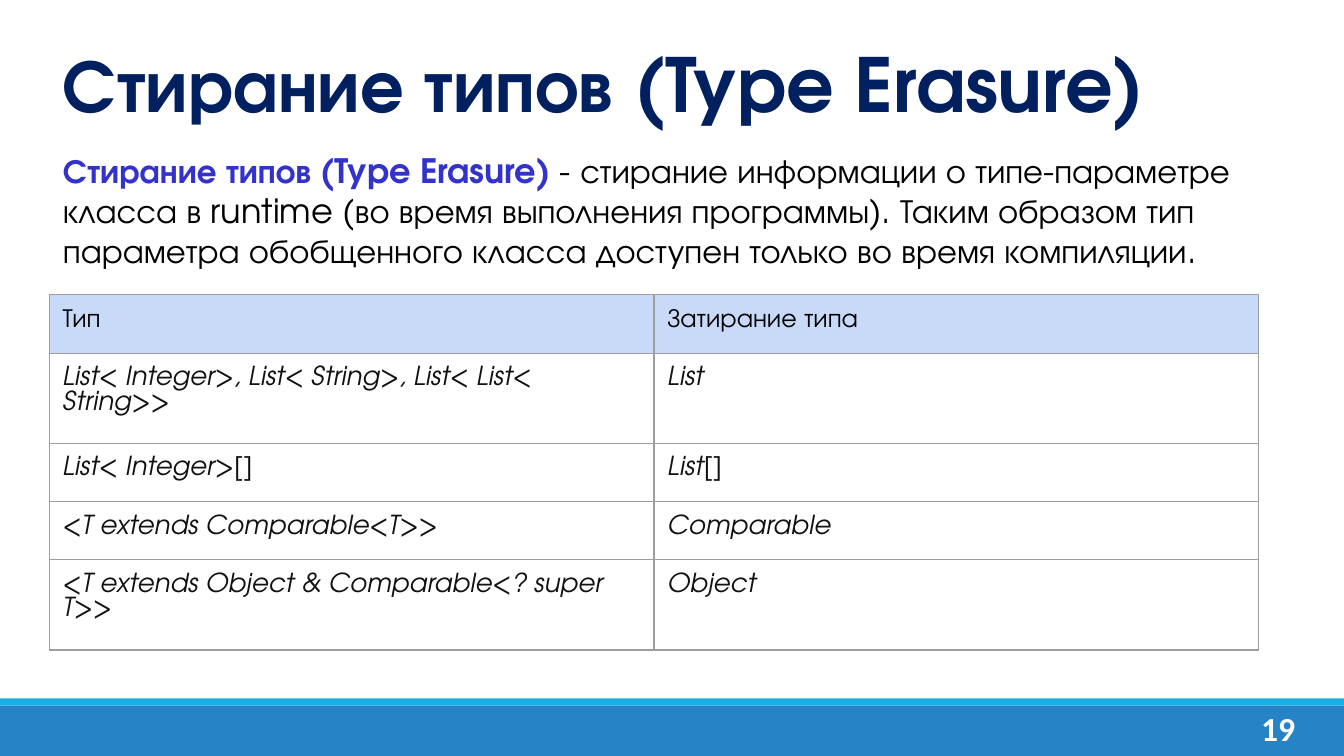
"""Build a slide that explains type erasure with a comparison table."""
import lxml.etree
import pptx
import pptx.dml.color
import pptx.enum.shapes
import pptx.enum.text
import pptx.oxml.ns
import pptx.util

COLORS = {
    "bar": "2683C6", "stripe": "1CADE4", "white": "FFFFFF", "title": "002060",
    "term": "3333CC", "text": "000000", "code": "111111", "header": "C9DAF8",
    "border": "9E9E9E",
}
FONT = "TeX Gyre Adventor"
WIDTH, HEIGHT = pptx.util.Inches(10), pptx.util.Inches(5.625)
TERM = "Стирание типов (Type Erasure)"
DEFINITION = (
    " - стирание информации о типе-параметре класса в runtime (во время выполнения "
    "программы). Таким образом тип параметра обобщенного класса доступен только "
    "во время компиляции."
)
HEADINGS = ("Тип", "Затирание типа")
ERASURES = [
    ("List< Integer>, List< String>, List< List< String>>", "List"),
    ("List< Integer>[]", "List[]"),
    ("<T extends Comparable<T>>", "Comparable"),
    ("<T extends Object & Comparable<? super T>>", "Object"),
]
ROW_SHARES = (0.43, 0.67, 0.43, 0.43, 0.67)


def place(left, top, width, height):
    """Turn percentages of the slide into a box in slide units."""
    return tuple(
        int(size * share / 100)
        for size, share in zip((WIDTH, HEIGHT) * 2, (left, top, width, height))
    )


def color(name):
    """Return a named colour."""
    return pptx.dml.color.RGBColor.from_string(COLORS[name])


def style(font, size, color_name, bold=False, name=FONT):
    """Set the face, size, weight and colour of a font."""
    font.name, font.size, font.bold = name, pptx.util.Pt(size), bold
    font.color.rgb = color(color_name)


def add_text_box(slide, box, inset=0.05):
    """Add a wrapping text box and return its frame."""
    frame = slide.shapes.add_textbox(*box).text_frame
    frame.word_wrap = True
    frame.margin_top = frame.margin_bottom = pptx.util.Inches(inset)
    return frame


def add_bar(slide, box, color_name):
    """Add a plain filled rectangle."""
    shape = slide.shapes.add_shape(pptx.enum.shapes.MSO_SHAPE.RECTANGLE, *box)
    shape.shadow.inherit = False
    shape.fill.solid()
    shape.fill.fore_color.rgb = color(color_name)
    shape.line.fill.background()


def add_footer(slide, box, number):
    """Add the bar, its top stripe and the slide number."""
    left, top, width, height = box
    stripe = height // 8
    add_bar(slide, (left, top + stripe, width, height - stripe), "bar")
    add_bar(slide, (left, top, width, stripe), "stripe")
    number_box = (
        left + int(width * 0.927), top + int(height * 0.05),
        int(width * 0.048), int(height * 0.7),
    )
    frame = add_text_box(slide, number_box)
    frame.word_wrap = False
    paragraph = frame.paragraphs[0]
    paragraph.text = str(number)
    paragraph.alignment = pptx.enum.text.PP_ALIGN.CENTER
    style(paragraph.font, 18, "white", True, "Calibri")


def add_title(slide, box):
    """Add the slide title, centred vertically in its box."""
    frame = add_text_box(slide, box)
    frame.vertical_anchor = pptx.enum.text.MSO_ANCHOR.MIDDLE
    paragraph = frame.paragraphs[0]
    paragraph.text = TERM
    style(paragraph.font, 40, "title", True)


def add_definition(slide, box):
    """Add the term in bold followed by its definition."""
    paragraph = add_text_box(slide, box, 0.1).paragraphs[0]
    for text, color_name, bold in ((TERM, "term", True), (DEFINITION, "text", False)):
        run = paragraph.add_run()
        run.text = text
        style(run.font, 18, color_name, bold)


def add_borders(cell):
    """Draw a thin line on all four sides of a cell."""
    properties = cell._tc.get_or_add_tcPr()
    name = pptx.oxml.ns.qn
    for index, side in enumerate(("a:lnL", "a:lnR", "a:lnT", "a:lnB")):
        line = lxml.etree.Element(name(side), w=str(pptx.util.Pt(0.75)))
        fill = lxml.etree.SubElement(line, name("a:solidFill"))
        lxml.etree.SubElement(fill, name("a:srgbClr"), val=COLORS["border"])
        properties.insert(index, line)


def fill_cell(cell, text, is_heading):
    """Write a cell, with code in italics and array brackets upright."""
    cell.margin_top = cell.margin_bottom = pptx.util.Inches(0.1)
    if is_heading:
        cell.fill.solid()
        cell.fill.fore_color.rgb = color("header")
    else:
        cell.fill.background()
    add_borders(cell)
    paragraph = cell.text_frame.paragraphs[0]
    style(paragraph.font, 14, "text" if is_heading else "code")
    code, brackets, _ = text.partition("[]")
    for part, italic in ((code, not is_heading), (brackets, False)):
        if part:
            run = paragraph.add_run()
            run.text = part
            run.font.italic = italic


def add_erasure_table(slide, box):
    """Add the table of types and what they are erased to."""
    rows = [HEADINGS, *ERASURES]
    table = slide.shapes.add_table(len(rows), len(HEADINGS), *box).table
    table.horz_banding = False
    for row, share in zip(table.rows, ROW_SHARES):
        row.height = int(box[3] * share / sum(ROW_SHARES))
    for row_index, texts in enumerate(rows):
        for column_index, text in enumerate(texts):
            fill_cell(table.cell(row_index, column_index), text, row_index == 0)


def main():
    """Build and save the slide."""
    presentation = pptx.Presentation()
    presentation.slide_width, presentation.slide_height = WIDTH, HEIGHT
    slide = presentation.slides.add_slide(presentation.slide_layouts[6])
    add_footer(slide, place(0, 92.4, 100, 7.6), 19)
    add_title(slide, place(3.7, 2, 90, 17.8))
    add_definition(slide, place(3.7, 18, 94.6, 19.7))
    add_erasure_table(slide, place(3.66, 39, 90, 46.8))
    presentation.save("out.pptx")


if __name__ == "__main__":
    main()
